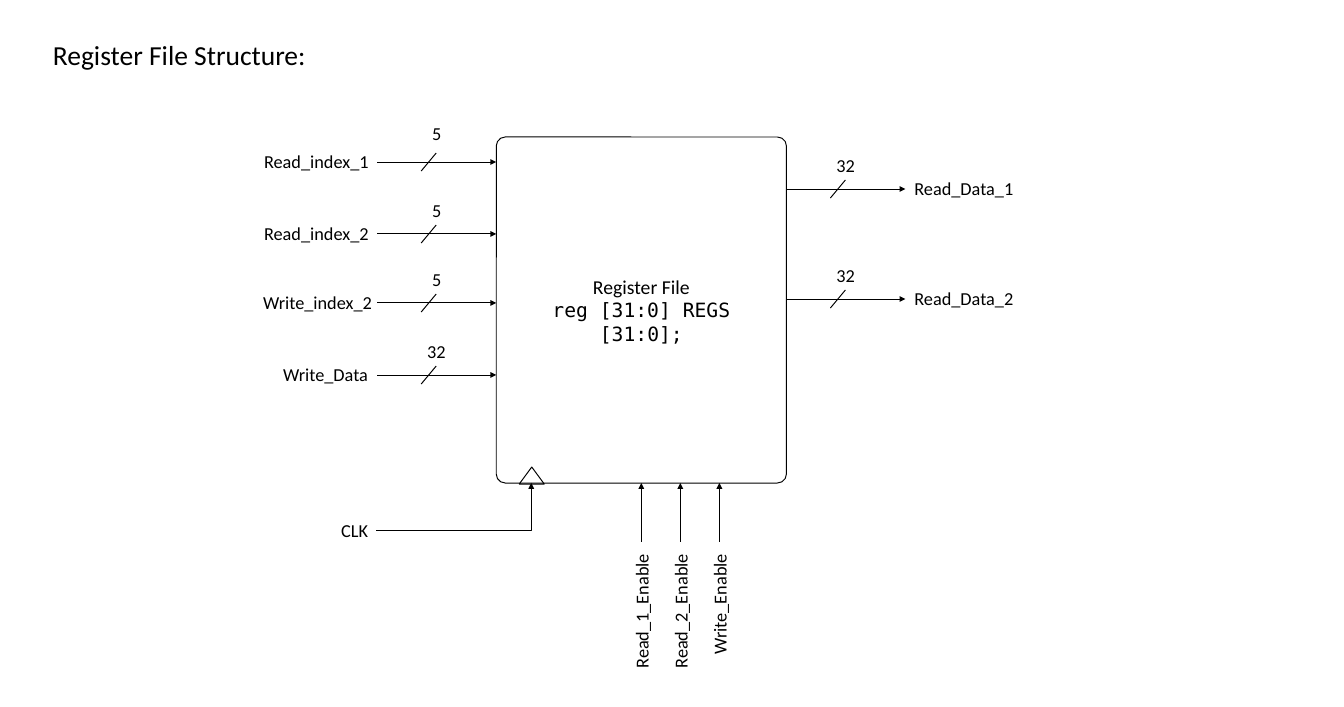
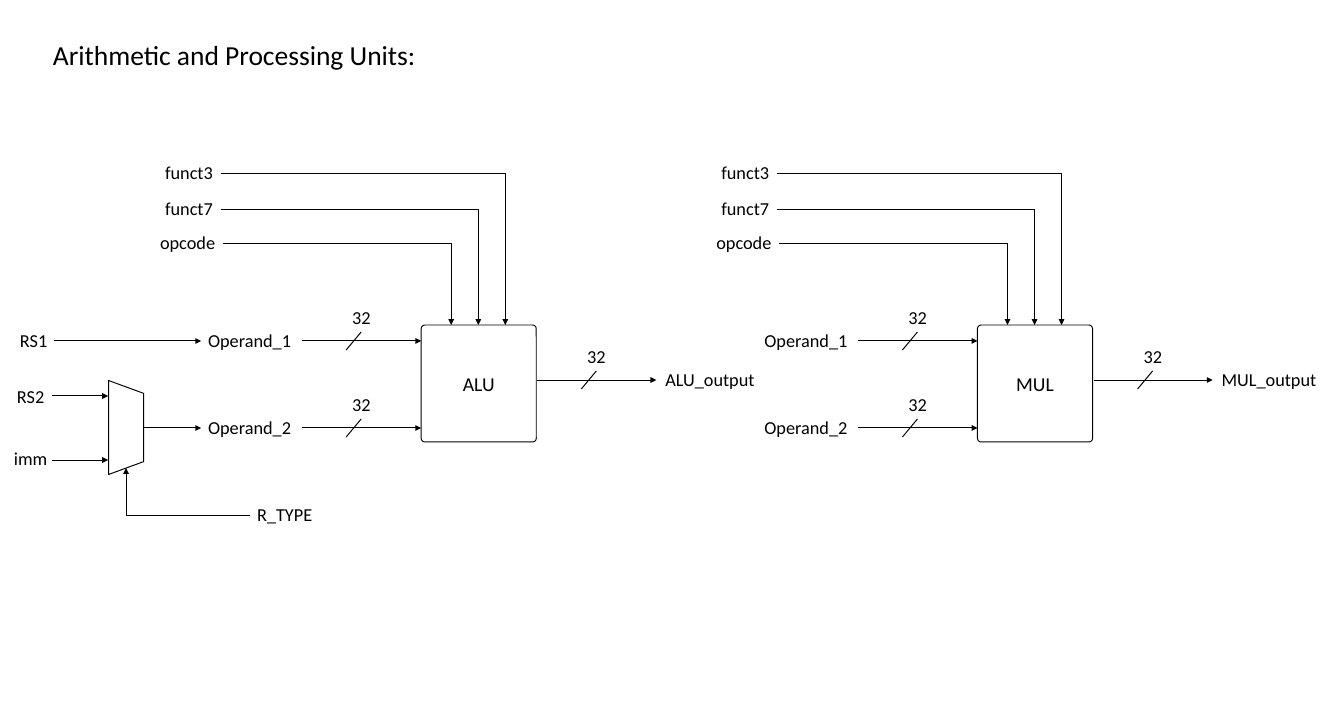
from pptx import Presentation
from pptx import util as u
from pptx.dml.color import RGBColor
from pptx.enum import shapes, text
from pptx.oxml import parse_xml
from pptx.oxml.ns import nsdecls, qn

SCALE = 914400 / 70.7
HUES = {"ink": "000000"}
INK = RGBColor.from_string(HUES["ink"])
FACE, MONO = "Calibri", "DejaVu Sans Mono"
KIND = shapes.MSO_SHAPE
REACH, RISE, STEP = 119, 23, 556


def write(page, words, left, mid, width, size=18.6, high=29, spin=0):
    box = page.shapes.add_textbox(*[round(n * SCALE) for n in (left, mid - high // 2 - 1, width, high)])
    box.rotation = spin
    frame = box.text_frame
    frame.word_wrap = False
    frame.auto_size = text.MSO_AUTO_SIZE.SHAPE_TO_FIT_TEXT
    line = frame.paragraphs[0]
    line.text = words
    line.font.name, line.font.size = FACE, u.Pt(size)
    line.font.color.rgb = INK


def wire(page, start, end, bent=False, head=True, weight=1):
    kind = shapes.MSO_CONNECTOR.ELBOW if bent else shapes.MSO_CONNECTOR.STRAIGHT
    link = page.shapes.add_connector(kind, *[round(n * SCALE) for n in (*start, *end)])
    link.line.color.rgb = INK
    link.line.width = u.Pt(weight)
    props = link._element.spPr
    if bent:
        props.find(qn("a:prstGeom")).set("prst", "bentConnector2")
    if head:
        props.find(qn("a:ln")).append(parse_xml(f'<a:tailEnd type="triangle" {nsdecls("a")}/>'))
    props.append(parse_xml(f'<a:effectLst {nsdecls("a")}/>'))


deck = Presentation()
deck.slide_width, deck.slide_height = u.Inches(19), u.Inches(10)
pages = []
for title, width in (("Register File Structure:", 269), ("Arithmetic and Processing Units:", 381)):
    page = deck.slides.add_slide(deck.slide_layouts[6])
    write(page, title, 46, 56, width, 28, 40)
    pages.append(page)
regs, units = pages

blocks = [
    (regs, KIND.ROUNDED_RECTANGLE, (496, 137, 290, 346), 0.031, 0,
     [("Register File", FACE), ("reg [31:0] REGS [31:0];", MONO)]),
    (regs, KIND.ISOSCELES_TRIANGLE, (519, 467, 25, 17), 0.5, 0, []),
    (units, KIND.TRAPEZOID, (79, 410, 94, 35), 0.367, 90, []),
]
buses = [
    (regs, 377, 162, "5", 28, "Read_index_1", 257, 119),
    (regs, 377, 234, "5", RISE, "Read_index_2", 257, 119),
    (regs, 377, 303, "5", RISE, "Write_index_2", 256, 124),
    (regs, 377, 375, "32", RISE, "Write_Data", 276, 100),
    (regs, 786, 189, "32", RISE, "Read_Data_1", 907, 114),
    (regs, 786, 299, "32", RISE, "Read_Data_2", 907, 114),
]

for shift, name, width in ((0, "ALU", 105), (STEP, "MUL", 110)):
    blocks.append((units, KIND.ROUNDED_RECTANGLE, (421 + shift, 325, 115, 117), 0.031, 0, [(name, FACE)]))
    buses += [
        (units, 302 + shift, 341, "32", RISE, "Operand_1", 201 + shift, 98),
        (units, 302 + shift, 428, "32", RISE, "Operand_2", 201 + shift, 98),
        (units, 537 + shift, 380, "32", RISE, f"{name}_output", 658 + shift, width),
    ]
    for field, left, wide, start, y, end in (
        ("funct3", 158, 62, 221, 173, 505),
        ("funct7", 158, 62, 221, 209, 478),
        ("opcode", 153, 70, 223, 243, 451),
    ):
        write(units, field, left + shift, y, wide)
        wire(units, (start + shift, y), (end + shift, 325), bent=True, weight=0.5)

for page, kind, area, bend, spin, lines in blocks:
    block = page.shapes.add_shape(kind, *[round(n * SCALE) for n in area])
    block.adjustments[0] = bend
    block.rotation = spin
    block.shadow.inherit = False
    block.fill.background()
    block.line.color.rgb = INK
    block.line.width = u.Pt(1)
    frame = block.text_frame
    frame.vertical_anchor = text.MSO_ANCHOR.MIDDLE
    for i, (words, face) in enumerate(lines):
        line = frame.add_paragraph() if i else frame.paragraphs[0]
        line.text = words
        line.alignment = text.PP_ALIGN.CENTER
        line.font.name, line.font.size = face, u.Pt(20)
        line.font.color.rgb = INK

for page, x, y, bits, rise, name, left, width in buses:
    wire(page, (x, y), (x + REACH, y))
    wire(page, (x + 59, y - 9), (x + 44, y + 9), head=False)
    wide = 13 + 10 * len(bits)
    write(page, bits, x + 59 - wide // 2, y - rise, wide)
    write(page, name, left, y, width)

write(regs, "CLK", 334, 531, 42)
wire(regs, (376, 531), (531, 483), bent=True)
for name, x, mid, width in (
    ("Read_1_Enable", 641, 611, 130),
    ("Read_2_Enable", 680, 611, 130),
    ("Write_Enable", 719, 604, 116),
):
    write(regs, name, x - width // 2, mid, width, spin=270)
    wire(regs, (x, 542), (x, 483))

for name, left, mid, width, start, end in (
    ("RS1", 13, 341, 42, (54, 341), (201, 341)),
    ("RS2", 10, 397, 42, (52, 396), (108, 396)),
    ("imm", 7, 459, 48, (52, 460), (108, 460)),
    ("R_TYPE", 250, 515, 70, (250, 515), (126, 468)),
):
    write(units, name, left, mid, width)
    wire(units, start, end, bent=start[1] != end[1])
wire(units, (144, 428), (201, 428))

deck.save("out.pptx")
